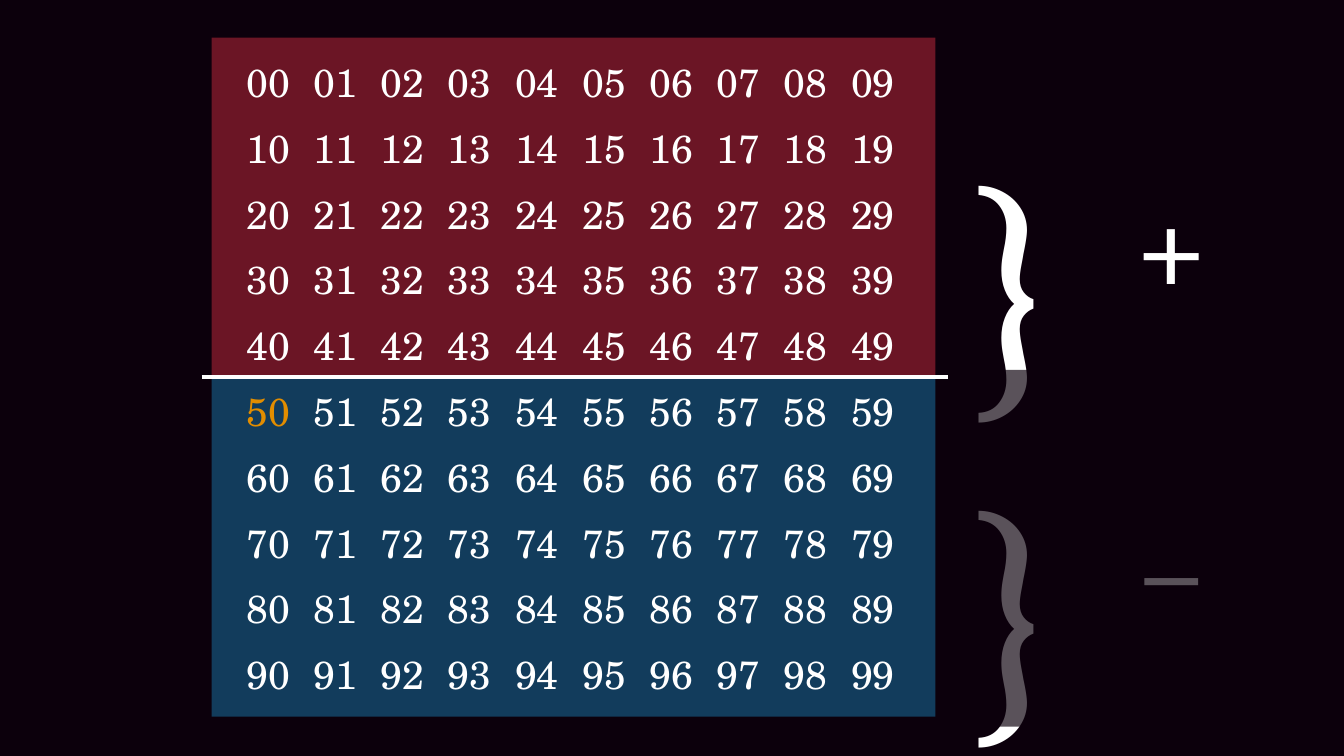
from pptx import Presentation
from pptx.dml.color import RGBColor as RGB
from pptx.enum.shapes import MSO_CONNECTOR as Line, MSO_SHAPE as Shape
from pptx.enum.text import MSO_ANCHOR as Anchor, MSO_AUTO_SIZE as AutoSize, PP_ALIGN as Align
from pptx.oxml.ns import qn
from pptx.util import Pt
from lxml.etree import SubElement

# Content
NUMBERS = [[f"{10 * tens + ones:02d}" for ones in range(10)] for tens in range(10)]
HIGHLIGHT = "50"
SIGNS = [("−", 303.8), ("+", 71.5)]  # sign, top of its brace


class Theme:
    background = RGB.from_string("0C000C")
    positive = RGB.from_string("6B1525")
    negative = RGB.from_string("123C5C")
    text = RGB.from_string("FFFFFF")
    accent = RGB.from_string("E28D00")
    number_font, sign_font = "TeX Gyre Schola", "Cambria"
    number_size, sign_size, brace_size = 28, 96, 199
    no_grid_style = "{2D5ABB26-0587-4C30-8999-92F81FD0307C}"


# Layout in points
PAGE_W, PAGE_H = 960, 540
HALF_LEFT, HALF_W, HALF_H = 151.2, 517, 242.5
MIDDLE = 269.4
GRID_LEFT, GRID_TOP, COL_W, ROW_H = 159.8, 34.6, 48, 47
CELL_FORMAT = {"margin_left": Pt(0.72), "margin_right": Pt(0.72), "margin_top": Pt(0.72),
               "margin_bottom": Pt(0), "vertical_anchor": Anchor.MIDDLE}


def apply_format(target, values):
    for name, value in values.items():
        setattr(target, name, value)


def set_font(font, face, size, color):
    apply_format(font, {"name": face, "size": Pt(size)})
    font.color.rgb = color


def add_panel(slide, left, top, width, height, color):
    panel = slide.shapes.add_shape(Shape.RECTANGLE, Pt(left), Pt(top), Pt(width), Pt(height))
    panel.shadow.inherit = False
    panel.fill.solid()
    panel.fill.fore_color.rgb = color
    panel.line.fill.background()
    return panel


def add_symbol(slide, symbol, left, top, width, height, size):
    frame = slide.shapes.add_textbox(Pt(left), Pt(top), Pt(width), Pt(height)).text_frame
    apply_format(frame, {"word_wrap": True, "auto_size": AutoSize.SHAPE_TO_FIT_TEXT})
    run = frame.paragraphs[0].add_run()
    run.text = symbol
    set_font(run.font, Theme.sign_font, size, Theme.text)


def add_number_grid(slide):
    rows, cols = len(NUMBERS), len(NUMBERS[0])
    grid = slide.shapes.add_table(rows, cols, Pt(GRID_LEFT), Pt(GRID_TOP),
                                  Pt(cols * COL_W), Pt(rows * ROW_H)).table
    apply_format(grid, {"first_row": False, "horz_banding": False})
    grid._tbl.tblPr.find(qn("a:tableStyleId")).text = Theme.no_grid_style
    for row, numbers in enumerate(NUMBERS):
        for col, number in enumerate(numbers):
            cell = grid.cell(row, col)
            apply_format(cell, CELL_FORMAT)
            cell.fill.background()
            paragraph = cell.text_frame.paragraphs[0]
            paragraph.alignment = Align.RIGHT
            run = paragraph.add_run()
            run.text = number
            color = Theme.accent if number == HIGHLIGHT else Theme.text
            set_font(run.font, Theme.number_font, Theme.number_size, color)


def main():
    deck = Presentation()
    apply_format(deck, {"slide_width": Pt(PAGE_W), "slide_height": Pt(PAGE_H)})
    slide = deck.slides.add_slide(deck.slide_layouts[6])
    slide.background.fill.solid()
    slide.background.fill.fore_color.rgb = Theme.background

    # Two halves with the numbers on top
    add_panel(slide, HALF_LEFT, MIDDLE, HALF_W, HALF_H, Theme.negative)
    add_panel(slide, HALF_LEFT, MIDDLE - HALF_H, HALF_W, HALF_H, Theme.positive)
    add_number_grid(slide)

    # Dividing line
    divider = slide.shapes.add_connector(Line.STRAIGHT, Pt(144), Pt(MIDDLE), Pt(676.8), Pt(MIDDLE))
    SubElement(divider._element.spPr, qn("a:effectLst"))
    divider.line.color.rgb = Theme.text
    divider.line.width = Pt(3)

    # Braces and signs
    for sign, top in SIGNS:
        add_symbol(slide, "}", 678.2, top, 153.4, 248.4, Theme.brace_size)
        add_symbol(slide, sign, 803.5, top + 40, 102.2, 123.8, Theme.sign_size)

    # Veil that dims the negative side
    veil = add_panel(slide, 689.8, 264.2, 226.8, 254.9, Theme.background)
    tint = veil.fill._xPr.find(qn("a:solidFill")).find(qn("a:srgbClr"))
    SubElement(tint, qn("a:alpha"), val="68000")

    deck.save("out.pptx")


if __name__ == "__main__":
    main()
